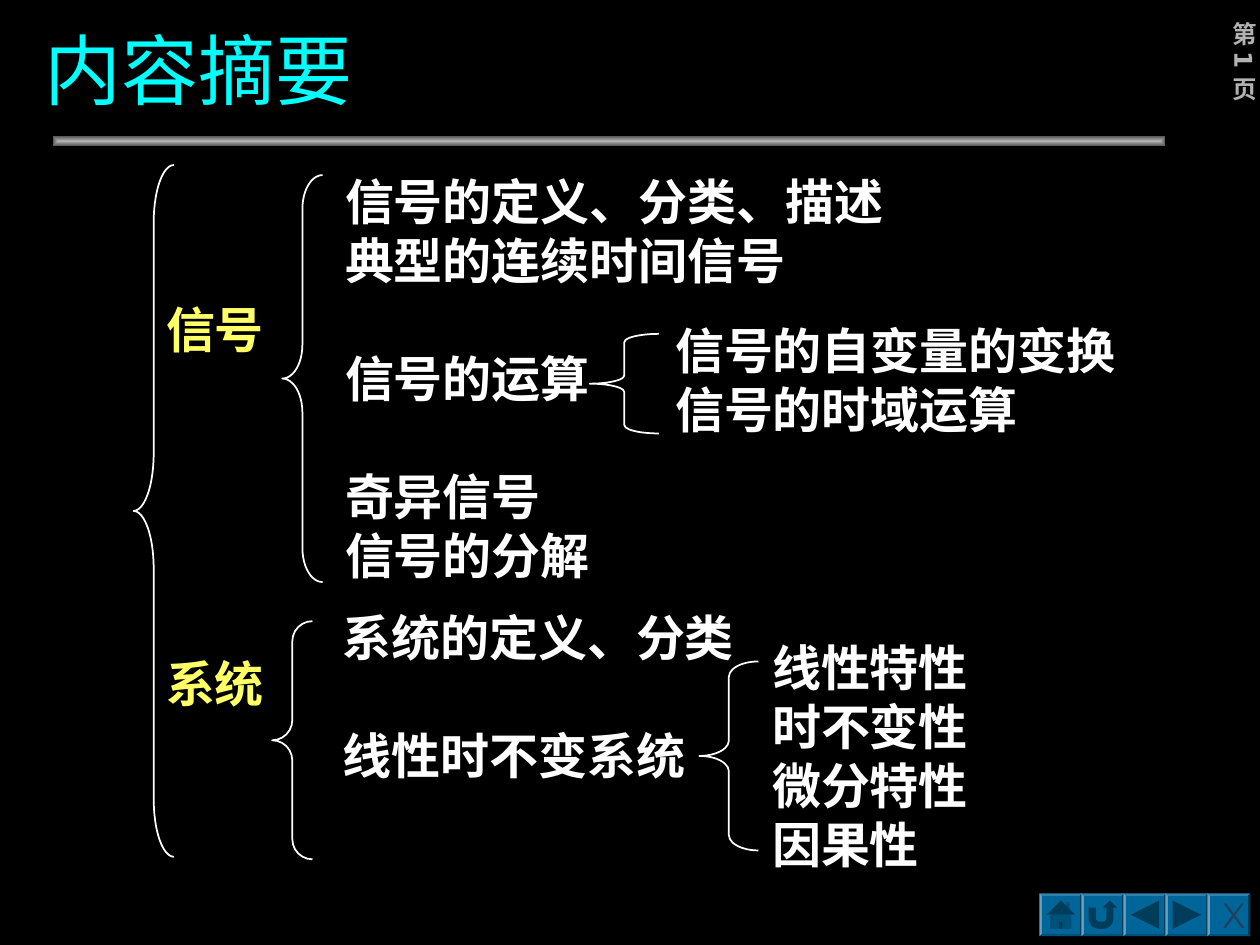
from lxml import etree
from pptx import Presentation
from pptx import util as u
from pptx.dml.color import RGBColor
from pptx.enum import shapes, text
from pptx.oxml.ns import qn

LINE = 33.7


def paint(target, color):
    target.solid()
    target.fore_color.rgb = RGBColor.from_string(color)


def style(para, size, color, bold=False, latin="Times New Roman"):
    for span in para.runs:
        span.font.size = u.Pt(size)
        span.font.bold = bold
        span.font.name = latin
        paint(span.font.fill, color)
        east = etree.SubElement(span.font._element, qn("a:ea"))
        east.set("typeface", "Noto Sans CJK SC")


deck = Presentation()
deck.slide_width, deck.slide_height = u.Inches(10), u.Inches(7.5)
page = deck.slides.add_slide(deck.slide_layouts[5])
paint(page.background.fill, "000000")

title = page.shapes.title
title.left, title.top = u.Inches(0.25), u.Inches(-0.08)
title.width, title.height = u.Inches(8.5), u.Inches(1.25)
title.text_frame.text = "内容摘要"
title.text_frame.vertical_anchor = text.MSO_ANCHOR.MIDDLE
title.text_frame.paragraphs[0].alignment = text.PP_ALIGN.LEFT
style(title.text_frame.paragraphs[0], 44, "00FFFF")

rule = page.shapes.add_shape(shapes.MSO_SHAPE.RECTANGLE, u.Inches(0.42), u.Inches(1.08),
                             u.Inches(8.83), u.Inches(0.08))
rule.shadow.inherit = False
rule.line.fill.background()
rule.fill.gradient()
for stop, color in zip(rule.fill.gradient_stops, ("B2B2B2", "525252")):
    stop.color.rgb = RGBColor.from_string(color)
gradient = rule._element.spPr.find(qn("a:gradFill"))
gradient.remove(gradient.find(qn("a:lin")))
shade = etree.SubElement(gradient, qn("a:path"), {"path": "rect"})
etree.SubElement(shade, qn("a:fillToRect"), dict.fromkeys("ltrb", "50000"))

kinds = shapes.MSO_SHAPE
buttons = [kinds.ACTION_BUTTON_HOME, kinds.ACTION_BUTTON_RETURN,
           kinds.ACTION_BUTTON_BACK_OR_PREVIOUS, kinds.ACTION_BUTTON_FORWARD_OR_NEXT,
           kinds.ACTION_BUTTON_CUSTOM]
SIDE, EDGE = 0.34, 0.02
for index, kind in enumerate(buttons):
    for layer, inset in ((kinds.BEVEL, 0), (kind, EDGE)):
        button = page.shapes.add_shape(layer, u.Inches(8.25 + index / 3 + inset),
                                       u.Inches(7.09 + inset), u.Inches(SIDE - 2 * inset),
                                       u.Inches(SIDE - 2 * inset))
        button.shadow.inherit = False
        paint(button.fill, "006699")
        button.line.fill.background()
        if layer == kinds.BEVEL:
            button.adjustments[0] = EDGE / SIDE
button.text_frame.text = "X"
button.text_frame.word_wrap = False
button.text_frame.vertical_anchor = text.MSO_ANCHOR.MIDDLE
style(button.text_frame.paragraphs[0], 20, "204060", latin="Montserrat")

number = page.shapes.add_textbox(u.Inches(9.71), u.Inches(0.13), u.Inches(0.33), u.Inches(0.95))
frame = number.text_frame
frame.word_wrap = True
frame.vertical_anchor = text.MSO_ANCHOR.MIDDLE
frame.margin_left = frame.margin_right = frame.margin_top = frame.margin_bottom = u.Inches(0.04)
frame._txBody.bodyPr.set("vert", "eaVert")
frame.text = "第 1 页"
style(frame.paragraphs[0], 14, "B2B2B2", True, "DejaVu Sans")

braces = [
    (1.06, 1.31, 0.32, 5.49, 1.43),
    (2.24, 1.39, 0.32, 3.23, 0.84),
    (2.16, 4.93, 0.32, 1.89, 0.5),
    (4.68, 2.65, 0.55, 0.79, 0.12),
    (5.55, 5.25, 0.47, 1.5, 0.26),
]
for left, top, width, height, curve in braces:
    brace = page.shapes.add_shape(kinds.LEFT_BRACE, u.Inches(left), u.Inches(top),
                                  u.Inches(width), u.Inches(height))
    brace.shadow.inherit = False
    brace.adjustments[0] = curve
    brace.fill.background()
    paint(brace.line.fill, "FFFFFF")
    brace.line.width = u.Pt(1)

outlines = [
    (1.22, 2.33, 1.36, 3.37, "FFFF66", [("信号", 0), ("系统", 5)]),
    (2.64, 1.31, 4.47, 3.37, "FFFFFF",
     [("信号的定义、分类、描述", 0), ("典型的连续时间信号", 0), ("信号的运算", 1),
      ("奇异信号", 1), ("信号的分解", 0)]),
    (2.62, 4.77, 3.3, 1.5, "FFFFFF", [("系统的定义、分类", 0), ("线性时不变系统", 1)]),
    (5.26, 2.49, 3.69, 1.04, "FFFFFF", [("信号的自变量的变换", 0), ("信号的时域运算", 0)]),
    (6.03, 5.01, 1.75, 1.97, "FFFFFF",
     [("线性特性", 0), ("时不变性", 0), ("微分特性", 0), ("因果性", 0)]),
]
for left, top, width, height, color, topics in outlines:
    box = page.shapes.add_textbox(u.Inches(left), u.Inches(top), u.Inches(width), u.Inches(height))
    frame = box.text_frame
    frame.word_wrap = True
    frame.margin_right = 0
    frame.text = "\n".join(topic for topic, gap in topics)
    for para, (topic, gap) in zip(frame.paragraphs, topics):
        para.line_spacing = u.Pt(LINE)
        if gap:
            para.space_before = u.Pt(gap * LINE)
        style(para, 28, color, True)

deck.save("out.pptx")
